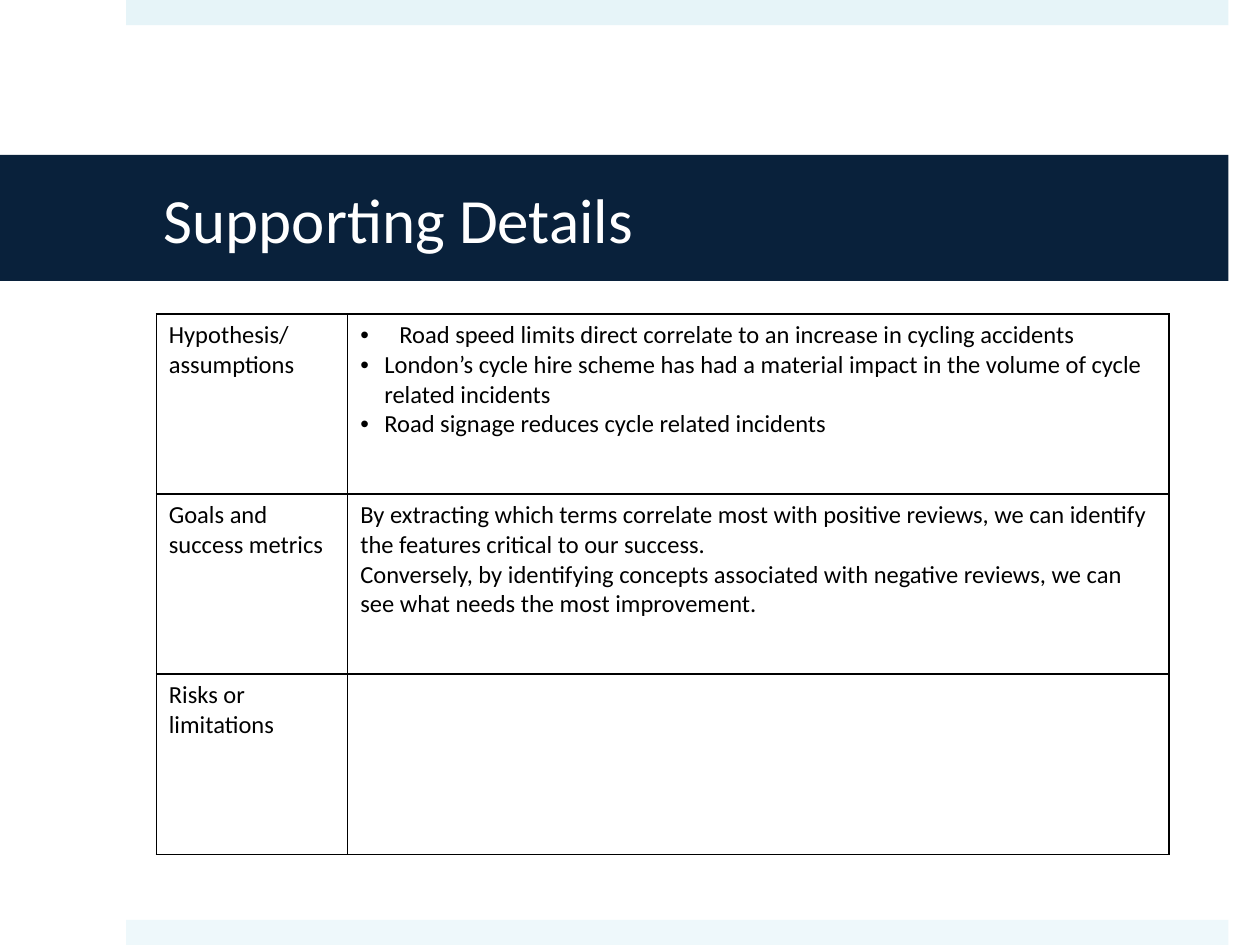
from dataclasses import dataclass

from lxml.etree import SubElement
from pptx import Presentation
from pptx.dml.color import RGBColor
from pptx.enum.shapes import MSO_SHAPE
from pptx.enum.text import MSO_ANCHOR, MSO_AUTO_SIZE, PP_ALIGN
from pptx.oxml.ns import qn
from pptx.slide import Slide
from pptx.util import Inches, Pt

COLOURS = {
    "top_bar": "E6F4F8",
    "bottom_bar": "EEF8FB",
    "title_band": "09213B",
    "title_text": "FFFFFF",
    "text": "000000",
    "border": "000000",
}
FONT = "Calibri"
SLIDE_WIDTH, SLIDE_HEIGHT = 10, 7.5
CONTENT_RIGHT = 9.75
BAR_LEFT, BAR_HEIGHT = 1, 0.2
TABLE_LEFT, TABLE_TOP = 1.24, 2.49
COLUMN_WIDTHS = (1.52, 6.52)
ROW_HEIGHT = 1.43
BORDER_WIDTH = Pt(1)


@dataclass(frozen=True)
class Bar:
    top: float
    colour: str


@dataclass(frozen=True)
class Line:
    text: str
    bullet_indent: float = 0


@dataclass(frozen=True)
class Detail:
    label: str
    lines: tuple[Line, ...] = ()


BARS = (Bar(0, "top_bar"), Bar(SLIDE_HEIGHT - BAR_HEIGHT, "bottom_bar"))
DETAILS = (
    Detail("Hypothesis/assumptions", (
        Line("Road speed limits direct correlate to an increase in cycling accidents", 0.31),
        Line("London’s cycle hire scheme has had a material impact in the volume "
             "of cycle related incidents", 0.19),
        Line("Road signage reduces cycle related incidents", 0.19),
    )),
    Detail("Goals and success metrics", (
        Line("By extracting which terms correlate most with positive reviews, "
             "we can identify the features critical to our success."),
        Line("Conversely, by identifying concepts associated with negative reviews, "
             "we can see what needs the most improvement."),
    )),
    Detail("Risks or limitations"),
)


def colour(name: str) -> RGBColor:
    return RGBColor.from_string(COLOURS[name])


def format_text(paragraph, size: float, colour_name: str) -> None:
    for run in paragraph.runs:
        run.font.name = FONT
        run.font.size = Pt(size)
        run.font.bold = False
        run.font.color.rgb = colour(colour_name)


def draw_bar(slide: Slide, bar: Bar) -> None:
    shape = slide.shapes.add_shape(
        MSO_SHAPE.RECTANGLE, Inches(BAR_LEFT), Inches(bar.top),
        Inches(CONTENT_RIGHT - BAR_LEFT), Inches(BAR_HEIGHT))
    shape.shadow.inherit = False
    shape.fill.solid()
    shape.fill.fore_color.rgb = colour(bar.colour)
    shape.line.fill.background()


def draw_title(slide: Slide, text: str) -> None:
    title = slide.shapes.title
    title.left, title.top = Inches(0), Inches(1.23)
    title.width, title.height = Inches(CONTENT_RIGHT), Inches(1)
    title.fill.solid()
    title.fill.fore_color.rgb = colour("title_band")
    text_frame = title.text_frame
    text_frame.text = text
    text_frame.auto_size = MSO_AUTO_SIZE.NONE
    text_frame.vertical_anchor = MSO_ANCHOR.MIDDLE
    text_frame.margin_left, text_frame.margin_right = Inches(1.3), Inches(0.3)
    text_frame.margin_top = text_frame.margin_bottom = Inches(0.05)
    paragraph = text_frame.paragraphs[0]
    paragraph.alignment = PP_ALIGN.LEFT
    format_text(paragraph, 36, "title_text")


def add_borders(cell) -> None:
    properties = cell._tc.get_or_add_tcPr()
    for index, side in enumerate(("lnL", "lnR", "lnT", "lnB")):
        line = properties.makeelement(qn(f"a:{side}"), {"w": str(BORDER_WIDTH)})
        properties.insert(index, line)
        fill = SubElement(line, qn("a:solidFill"))
        SubElement(fill, qn("a:srgbClr"), val=COLOURS["border"])


def add_bullet(paragraph, indent: float) -> None:
    properties = paragraph._p.get_or_add_pPr()
    properties.set("marL", str(Inches(indent)))
    properties.set("indent", str(-Inches(indent)))
    SubElement(properties, qn("a:buFont"), typeface="Arial")
    SubElement(properties, qn("a:buChar"), char="•")


def fill_cell(cell, lines: tuple[Line, ...]) -> None:
    cell.fill.background()
    add_borders(cell)
    cell.text_frame.text = "\n".join(line.text for line in lines)
    for paragraph, line in zip(cell.text_frame.paragraphs, lines):
        format_text(paragraph, 14, "text")
        if line.bullet_indent:
            add_bullet(paragraph, line.bullet_indent)


def draw_table(slide: Slide, details: tuple[Detail, ...]) -> None:
    table = slide.shapes.add_table(
        len(details), len(COLUMN_WIDTHS), Inches(TABLE_LEFT), Inches(TABLE_TOP),
        Inches(sum(COLUMN_WIDTHS)), Inches(ROW_HEIGHT * len(details))).table
    table.first_row = table.horz_banding = False
    for column, width in zip(table.columns, COLUMN_WIDTHS):
        column.width = Inches(width)
    for row, detail in zip(table.rows, details):
        row.height = Inches(ROW_HEIGHT)
        fill_cell(row.cells[0], (Line(detail.label),))
        fill_cell(row.cells[1], detail.lines)


def main() -> None:
    presentation = Presentation()
    presentation.slide_width = Inches(SLIDE_WIDTH)
    presentation.slide_height = Inches(SLIDE_HEIGHT)
    slide = presentation.slides.add_slide(
        presentation.slide_layouts.get_by_name("Title Only"))
    for bar in BARS:
        draw_bar(slide, bar)
    draw_title(slide, "Supporting Details")
    draw_table(slide, DETAILS)
    presentation.save("out.pptx")


if __name__ == "__main__":
    main()
